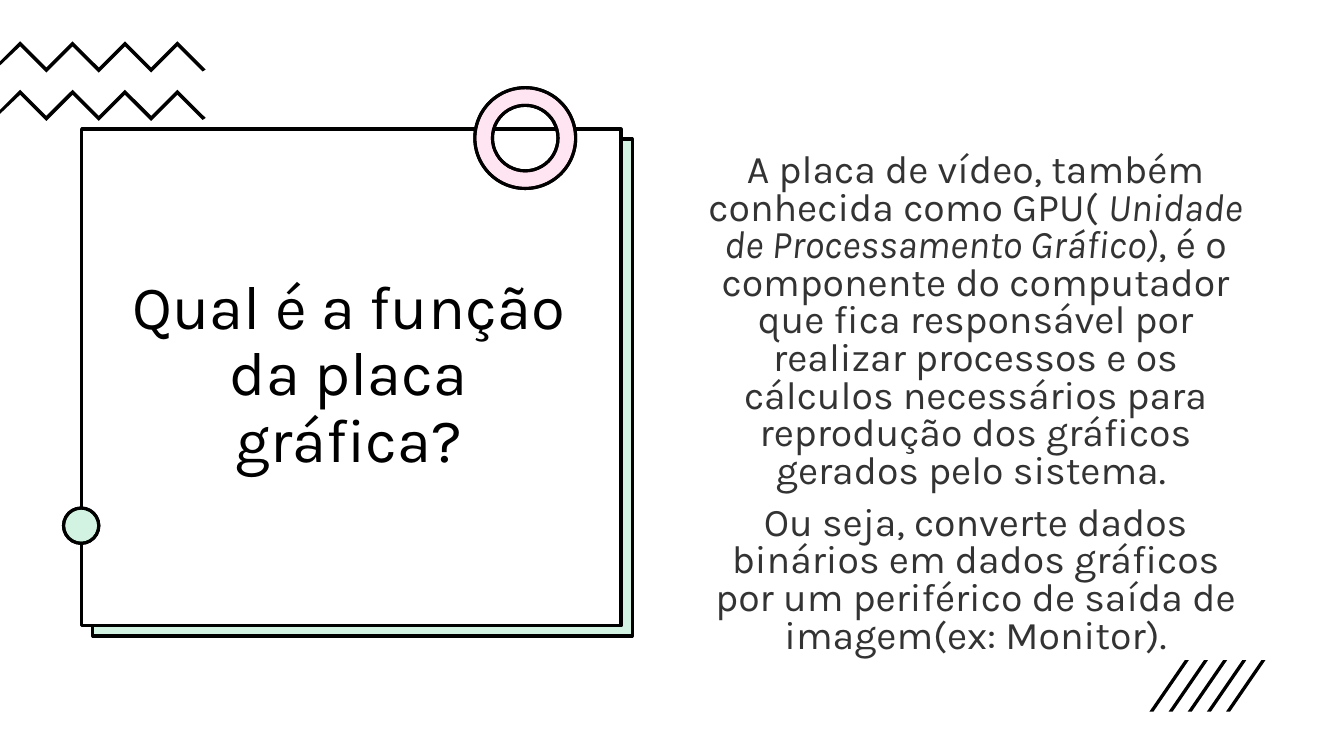
from dataclasses import dataclass

from lxml import etree
from pptx import Presentation
from pptx import util as u
from pptx.dml.color import RGBColor
from pptx.enum import shapes, text
from pptx.oxml import ns

WHITE = RGBColor(0xFF, 0xFF, 0xFF)
BLACK = RGBColor(0, 0, 0)
GRAY = RGBColor(0x33, 0x33, 0x33)
GREEN = RGBColor(0x21, 0xC4, 0x6B)
PINK = RGBColor(0xFF, 0x80, 0xBD)
FONT = "Karla"
KIND = shapes.MSO_SHAPE
WIDE, HIGH = 13.33, 7.5

Point = tuple[float, float]


@dataclass(frozen=True)
class Area:
    left: float
    top: float
    width: float
    height: float

    def spans(self) -> list[int]:
        return [u.Inches(v) for v in (self.left, self.top, self.width, self.height)]


@dataclass(frozen=True)
class Figure:
    kind: KIND
    area: Area
    fill: RGBColor = WHITE
    alpha: int = 100


@dataclass(frozen=True)
class Piece:
    words: str
    slant: bool = False


@dataclass(frozen=True)
class Style:
    size: int
    color: RGBColor
    pitch: float
    before: int
    anchor: text.MSO_ANCHOR


RING = Area(4.71, 0.87, 1, 1)
DOT = Area(0.63, 5.04, 0.35, 0.35)
BACK = [
    Figure(KIND.RECTANGLE, Area(0.92, 1.38, 5.35, 4.93), GREEN, 20),
    Figure(KIND.RECTANGLE, Area(0.81, 1.28, 5.35, 4.93)),
]
FRONT = [
    Figure(KIND.DONUT, RING),
    Figure(KIND.DONUT, RING, PINK, 20),
    Figure(KIND.OVAL, DOT),
    Figure(KIND.OVAL, DOT, GREEN, 20),
]
RIM = 0.175

TITLE = [[Piece("Qual é a função da placa gráfica?")]]
BODY = [
    [
        Piece("A placa de vídeo, também conhecida como GPU( "),
        Piece("Unidade de Processamento Gráfico)", True),
        Piece(", é o componente do computador que fica responsável por "
              "realizar processos e os cálculos necessários para reprodução "
              "dos gráficos gerados pelo sistema. "),
    ],
    [Piece("Ou seja, converte dados binários em dados gráficos por um "
           "periférico de saída de imagem(ex: Monitor).")],
]


def draw(slide, fig: Figure) -> None:
    shape = slide.shapes.add_shape(fig.kind, *fig.area.spans())
    shape.shadow.inherit = False
    shape.fill.solid()
    shape.fill.fore_color.rgb = fig.fill
    if fig.alpha < 100:
        tint = shape.fill._xPr.find(".//" + ns.qn("a:srgbClr"))
        etree.SubElement(tint, ns.qn("a:alpha"), val=str(fig.alpha * 1000))
    shape.line.color.rgb = BLACK
    shape.line.width = u.Pt(2.25)
    if fig.kind == KIND.DONUT:
        shape.adjustments[0] = RIM


def outline(slide, points: list[Point]) -> None:
    """Draw a closed black outline through points given in inches."""
    spots = [(u.Inches(x), u.Inches(y)) for x, y in points]
    pen = slide.shapes.build_freeform(*spots[0])
    pen.add_line_segments(spots[1:], close=True)
    shape = pen.convert_to_shape()
    shape.shadow.inherit = False
    shape.fill.solid()
    shape.fill.fore_color.rgb = BLACK
    shape.line.fill.background()


def zigzag(slide, top: float) -> None:
    step, thick = 0.26, 0.05
    ridge = [(0.2 + step * i, top + step * (i % 2)) for i in range(7)]
    under = [(x, y + thick) for x, y in reversed(ridge)]
    tip = [(2.04, top + 0.28), (2.01, top + 0.3)]
    edge = [(0, top + 0.24), (0, top + 0.2)]
    outline(slide, ridge + tip + under + edge)


def slash(slide, left: float) -> None:
    top, low = 6.55, 7.06
    outline(slide, [(left + 0.04, low), (left, low),
                    (left + 0.35, top), (left + 0.39, top)])


def write(slide, holder, area: Area, paras: list[list[Piece]], style: Style) -> None:
    """Fill a placeholder and lift it above the shapes drawn so far."""
    slide.shapes._spTree.append(holder._element)
    holder.left, holder.top, holder.width, holder.height = area.spans()
    frame = holder.text_frame
    look = {"word_wrap": True, "auto_size": text.MSO_AUTO_SIZE.NONE,
            "vertical_anchor": style.anchor}
    for key, value in look.items():
        setattr(frame, key, value)
    flow = {"alignment": text.PP_ALIGN.CENTER, "line_spacing": style.pitch,
            "space_before": u.Pt(style.before), "space_after": u.Pt(0)}
    for i, pieces in enumerate(paras):
        para = frame.add_paragraph() if i else frame.paragraphs[0]
        for key, value in flow.items():
            setattr(para, key, value)
        props = para._p.get_or_add_pPr()
        props.set("marL", "0")
        props.set("indent", "0")
        etree.SubElement(props, ns.qn("a:buNone"))
        for piece in pieces:
            run = para.add_run()
            run.text = piece.words
            face = {"name": FONT, "size": u.Pt(style.size), "italic": piece.slant}
            for key, value in face.items():
                setattr(run.font, key, value)
            run.font.color.rgb = style.color


def main() -> None:
    deck = Presentation()
    deck.slide_width, deck.slide_height = u.Inches(WIDE), u.Inches(HIGH)
    slide = deck.slides.add_slide(deck.slide_layouts[1])
    title, body = slide.placeholders
    slide.background.fill.solid()
    slide.background.fill.fore_color.rgb = WHITE

    for top in (0.41, 0.89):
        zigzag(slide, top)
    for fig in BACK:
        draw(slide, fig)
    write(slide, title, Area(1.21, 1.38, 4.5, 4.7), TITLE,
          Style(44, BLACK, 0.9, 0, text.MSO_ANCHOR.MIDDLE))
    for fig in FRONT:
        draw(slide, fig)
    write(slide, body, Area(6.84, 1.47, 5.67, 4.76), BODY,
          Style(28, GRAY, 0.8, 10, text.MSO_ANCHOR.TOP))
    for i in range(5):
        slash(slide, 11.4 + 0.19 * i)
    deck.save("out.pptx")


if __name__ == "__main__":
    main()
